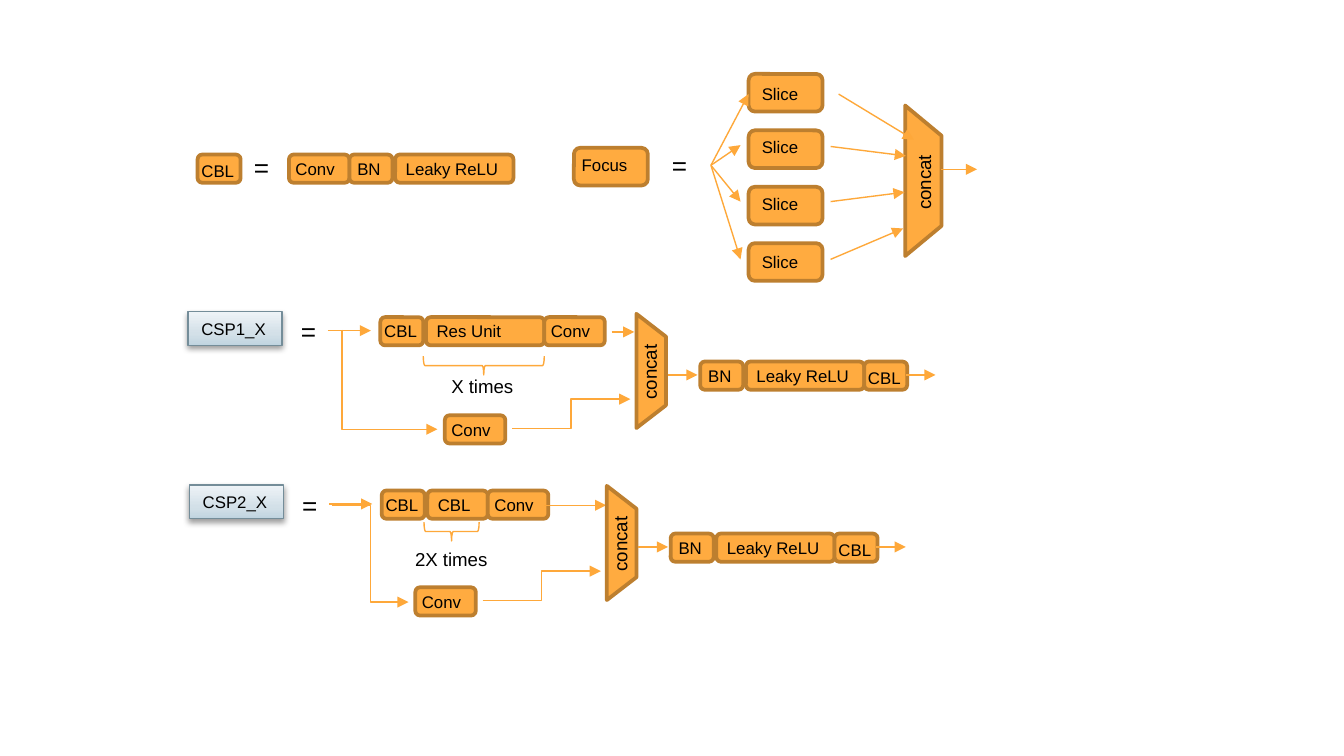
import copy
from dataclasses import dataclass, replace

import pptx
import pptx.util
import pptx.oxml
import pptx.oxml.ns
import pptx.dml.color
import pptx.enum.shapes
import pptx.enum.text

SCALE = 9144  # EMU per px, 100 px to the inch
SHAPES = pptx.enum.shapes.MSO_SHAPE
CONNECTORS = pptx.enum.shapes.MSO_CONNECTOR


@dataclass(frozen=True)
class Theme:
    font: str = "Arial"
    text: str = "000000"
    block: str = "FFAB40"
    block_line: str = "BD7F2F"
    arrow: str = "FEA83A"
    header_line: str = "748D99"
    header_stops: tuple = ((0, "C0D4E0"), (0.35, "D3E0E8"), (1, "EEF3F7"))
    label_size: int = 9
    note_size: int = 10
    equals_size: int = 14
    thick: float = 2
    thin: float = 0.75


@dataclass(frozen=True)
class Layer:
    """A block type: its size, the gap before it and its label's box."""
    text: str
    width: int
    label_dx: int
    label_width: int
    gap: int = 0
    height: int = 21
    label_dy: int = -2
    label_height: int = 25


THEME = Theme()
CONV = Layer("Conv", 45, -5, 55)
BN = Layer("BN", 32, -4, 39)
RELU = Layer("Leaky ReLU", 88, -2, 89, gap=2)
RES = Layer("Res Unit", 88, -2, 89, gap=2)
CBL = Layer("CBL", 32, -7, 45)
CBL_WIDE = Layer("CBL", 45, -2, 46, gap=2)
CBL_LOW = Layer("CBL", 32, -7, 45, label_dy=0, label_height=14)
FOCUS = Layer("Focus", 55, -4, 67, height=28, label_dy=0)
SLICE = Layer("Slice", 55, 0, 67, height=28)


def px(*lengths):
    return [pptx.util.Emu(length * SCALE) for length in lengths]


def rgb(color):
    return pptx.dml.color.RGBColor.from_string(color)


def set_line(line, color, width):
    line.color.rgb = rgb(color)
    line.width = pptx.util.Pt(width)


def write(frame, text, size, wrap=True):
    frame.word_wrap = wrap
    frame.auto_size = pptx.enum.text.MSO_AUTO_SIZE.SHAPE_TO_FIT_TEXT
    frame.vertical_anchor = pptx.enum.text.MSO_ANCHOR.TOP
    paragraph = frame.paragraphs[0]
    paragraph.alignment = pptx.enum.text.PP_ALIGN.LEFT
    run = paragraph.add_run()
    run.text = text
    run.font.name = THEME.font
    run.font.size = pptx.util.Pt(size)
    run.font.color.rgb = rgb(THEME.text)


def add_label(slide, text, box, size=THEME.label_size, wrap=True, rotation=0):
    label = slide.shapes.add_textbox(*px(*box))
    label.rotation = rotation
    write(label.text_frame, text, size, wrap)


def add_filled(slide, preset, box, rotation=0):
    body = slide.shapes.add_shape(preset, *px(*box))
    body.shadow.inherit = False
    body.rotation = rotation
    body.fill.solid()
    body.fill.fore_color.rgb = rgb(THEME.block)
    set_line(body.line, THEME.block_line, THEME.thick)


def add_chain(slide, x, y, *layers):
    """Lay layers side by side, starting at x."""
    for layer in layers:
        x += layer.gap
        add_filled(slide, SHAPES.ROUNDED_RECTANGLE, (x, y, layer.width, layer.height))
        add_label(slide, layer.text, (x + layer.label_dx, y + layer.label_dy,
                                      layer.label_width, layer.label_height))
        x += layer.width


def add_concat(slide, box, label_box, wrap):
    add_filled(slide, SHAPES.FLOWCHART_MANUAL_OPERATION, box, 270)
    add_label(slide, "concat", label_box, THEME.note_size, wrap, 270)


def add_brace(slide, box, text, label_box):
    brace = slide.shapes.add_shape(SHAPES.LEFT_BRACE, *px(*box))
    brace.shadow.inherit = False
    brace.rotation = 270
    brace.fill.background()
    set_line(brace.line, THEME.arrow, THEME.thin)
    add_label(slide, text, label_box, THEME.note_size, wrap=False)


def add_arrow(slide, start, end, kind=CONNECTORS.STRAIGHT):
    arrow = slide.shapes.add_connector(kind, *px(*start, *end))
    set_line(arrow.line, THEME.arrow, THEME.thin)
    properties = arrow._element.spPr
    head = pptx.oxml.parse_xml(
        f'<a:tailEnd {pptx.oxml.ns.nsdecls("a")} type="triangle"/>')
    properties.find(pptx.oxml.ns.qn("a:ln")).append(head)
    properties.append(pptx.oxml.parse_xml(
        f'<a:effectLst {pptx.oxml.ns.nsdecls("a")}/>'))
    return arrow


def add_corner_arrow(slide, start, end):
    """Go down, then right: a one-bend connector turned by 90 degrees."""
    (x1, y1), (x2, y2) = start, end
    across, down = x2 - x1, y2 - y1
    left, top = (x1 + x2 - down) // 2, (y1 + y2 - across + 1) // 2
    arrow = add_arrow(slide, (left, top + across), (left + down, top), CONNECTORS.ELBOW)
    properties = arrow._element.spPr
    properties.find(pptx.oxml.ns.qn("a:xfrm")).set("rot", str(90 * 60000))
    properties.find(pptx.oxml.ns.qn("a:prstGeom")).set("prst", "bentConnector2")


def add_header(slide, text, box):
    header = slide.shapes.add_shape(SHAPES.RECTANGLE, *px(*box))
    set_line(header.line, THEME.header_line, THEME.thin)
    header.fill.gradient()
    header.fill.gradient_angle = 90
    properties = header._element.spPr
    stops = properties.find(".//" + pptx.oxml.ns.qn("a:gsLst"))
    stops.insert(1, copy.deepcopy(stops[0]))
    for stop, (position, color) in zip(header.fill.gradient_stops, THEME.header_stops):
        stop.position = position
        stop.color.rgb = rgb(color)
    properties.append(pptx.oxml.parse_xml(
        f'<a:effectLst {pptx.oxml.ns.nsdecls("a")}>'
        '<a:outerShdw blurRad="40000" dist="20000" dir="5400000" rotWithShape="0">'
        '<a:srgbClr val="000000"><a:alpha val="38000"/></a:srgbClr>'
        '</a:outerShdw></a:effectLst>'))
    write(header.text_frame, text, THEME.label_size)


def add_equals(slide, x, y):
    add_label(slide, "=", (x, y, 31, 34), THEME.equals_size, wrap=False)


def add_csp_start(slide, name, x, y, *layers):
    add_header(slide, name, (x, y, 70, 25))
    add_equals(slide, x + 74, y - 2)
    add_arrow(slide, (x + 104, y + 14), (x + 136, y + 14))
    add_chain(slide, x + 143, y + 4, *layers)


def add_csp_merge(slide, x, y):
    """Bypass convolution, concat and the closing layers."""
    add_chain(slide, x, y, CONV)
    add_arrow(slide, (x + 50, y + 10), (x + 138, y - 12), CONNECTORS.ELBOW)
    add_concat(slide, (x + 111, y - 44, 85, 22), (x + 122, y - 46, 61, 27), False)
    add_arrow(slide, (x + 166, y - 30), (x + 188, y - 30))
    add_chain(slide, x + 190, y - 40, BN, RELU, CBL_LOW)
    add_arrow(slide, (x + 343, y - 30), (x + 365, y - 30))


def add_focus(slide):
    add_chain(slide, 427, 110, FOCUS)
    add_equals(slide, 490, 106)
    for row, label_dy in enumerate((2, 0, 0, 1)):
        add_chain(slide, 557, 55 + 42 * row, replace(SLICE, label_dy=label_dy))
    for tip in ((557, 70), (551, 108), (551, 150), (551, 193)):
        add_arrow(slide, (529, 123), tip)
    add_concat(slide, (631, 121, 112, 27), (647, 112, 81, 27), True)
    for start, tip in (((624, 70), (680, 104)), ((618, 109), (674, 116)),
                       ((618, 150), (673, 143)), ((618, 193), (672, 170))):
        add_arrow(slide, start, tip)
    add_arrow(slide, (700, 126), (727, 126))


def main():
    deck = pptx.Presentation()
    deck.slide_width, = px(1000)
    deck.slide_height = deck.slide_width * 9 // 16
    slide = deck.slides.add_slide(deck.slide_layouts[6])

    # CBL and Focus definitions
    add_chain(slide, 147, 115, CBL_LOW)
    add_equals(slide, 179, 108)
    add_chain(slide, 215, 115, CONV, BN, RELU)
    add_focus(slide)

    # CSP1_X: residual units on the main path
    add_csp_start(slide, "CSP1_X", 140, 232, CBL, RES, CONV)
    add_brace(slide, (353, 227, 14, 90), "X times", (326, 274, 66, 27))
    add_arrow(slide, (455, 247), (472, 247))
    add_corner_arrow(slide, (255, 245), (326, 319))
    add_csp_merge(slide, 331, 309)

    # CSP2_X: CBL layers on the main path
    add_csp_start(slide, "CSP2_X", 141, 361, CBL, CBL_WIDE, CONV)
    add_brace(slide, (329, 375, 14, 41), "2X times", (299, 403, 74, 27))
    add_arrow(slide, (405, 376), (451, 376))
    add_arrow(slide, (247, 376), (304, 448), CONNECTORS.ELBOW)
    add_csp_merge(slide, 309, 437)

    deck.save("out.pptx")


if __name__ == "__main__":
    main()
